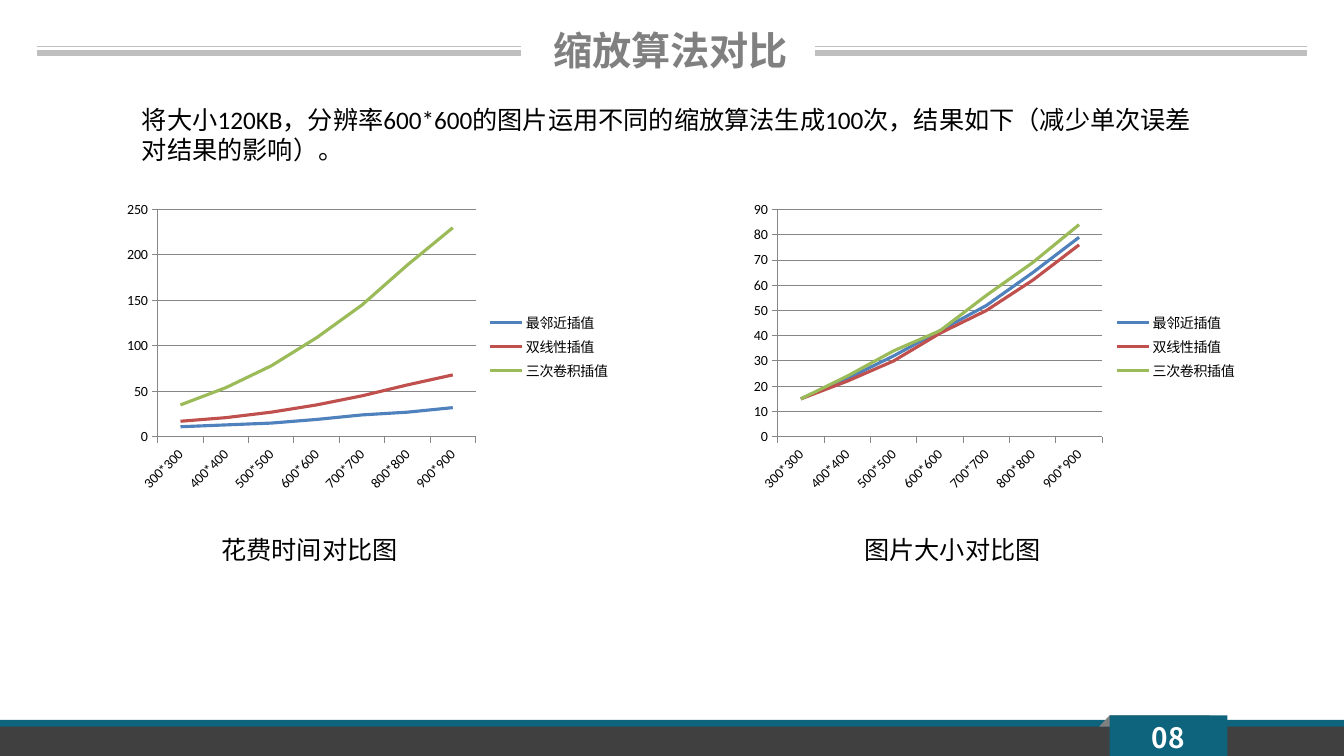
from dataclasses import dataclass

from lxml import etree
from pptx import Presentation
from pptx import util as u
from pptx.chart.data import CategoryChartData
from pptx.dml.color import RGBColor
from pptx.enum import chart as ch, shapes, text
from pptx.oxml import ns
from pptx.util import Cm

TEAL = RGBColor(0x0E, 0x64, 0x7C)
CHARCOAL = RGBColor(0x40, 0x40, 0x40)
GREY = RGBColor(0x80, 0x80, 0x80)
RULE_GREY = RGBColor(0xBF, 0xBF, 0xBF)
AXIS_GREY = RGBColor(0x86, 0x86, 0x86)
WHITE = RGBColor(0xFF, 0xFF, 0xFF)
BLACK = RGBColor(0, 0, 0)
BLUE = RGBColor(0x4F, 0x81, 0xBD)
RED = RGBColor(0xC0, 0x50, 0x4D)
GREEN = RGBColor(0x9B, 0xBB, 0x59)

BODY_FONT = "Calibri"
CJK_FONT = "Noto Sans CJK SC"
WIDTH, HEIGHT = 33.88, 19.05

SIZES = [f"{n}*{n}" for n in range(300, 1000, 100)]
ALGORITHMS = [("最邻近插值", BLUE), ("双线性插值", RED), ("三次卷积插值", GREEN)]


@dataclass
class Bar:
    left: float
    top: float
    width: float
    height: float
    color: RGBColor


@dataclass
class Comparison:
    """A line chart with its caption; values hold one row per algorithm."""
    caption: str
    chart_left: float
    caption_left: float
    axis_max: int
    axis_step: int
    values: list[list[int]]


FOOTER_BARS = [
    Bar(0, 18.14, WIDTH, 0.99, TEAL),
    Bar(0, 18.31, WIDTH, 0.81, CHARCOAL),
]
PAGE_TAB = Bar(27.97, 18.03, 2.97, 1.09, TEAL)

COMPARISONS = [
    Comparison("花费时间对比图", 2.95, 5.33, 250, 50, [
        [11, 13, 15, 19, 24, 27, 32],
        [17, 21, 27, 35, 45, 57, 68],
        [35, 54, 78, 109, 145, 189, 230],
    ]),
    Comparison("图片大小对比图", 18.75, 21.54, 90, 10, [
        [15, 23, 32, 42, 52, 65, 79],
        [15, 22, 30, 41, 50, 62, 76],
        [15, 24, 34, 42, 56, 69, 84],
    ]),
]


def paint(sp, color: RGBColor) -> None:
    """Give a shape a flat fill with no line or shadow."""
    sp.shadow.inherit = False
    sp.fill.solid()
    sp.fill.fore_color.rgb = color
    sp.line.fill.background()


def add_bar(s, bar: Bar) -> None:
    sp = s.shapes.add_shape(shapes.MSO_SHAPE.RECTANGLE, Cm(bar.left), Cm(bar.top),
                            Cm(bar.width), Cm(bar.height))
    paint(sp, bar.color)


def add_tab_fold(s) -> None:
    """Draw the grey folded corner behind the page number tab."""
    builder = s.shapes.build_freeform(Cm(27.97), Cm(18.03))
    builder.add_line_segments([(Cm(30.5), Cm(18.03)), (Cm(30.53), Cm(18.34)),
                               (Cm(27.71), Cm(18.31))], close=True)
    paint(builder.convert_to_shape(), GREY)


def add_text(s, content: str, left: float, top: float, width: float, height: float, *,
             size: int = 18, font: str = BODY_FONT, color: RGBColor = BLACK,
             bold: bool = False, align=text.PP_ALIGN.LEFT,
             anchor=text.MSO_ANCHOR.TOP) -> None:
    tf = s.shapes.add_textbox(Cm(left), Cm(top), Cm(width), Cm(height)).text_frame
    tf.word_wrap = True
    tf.vertical_anchor = anchor
    p = tf.paragraphs[0]
    p.alignment = align
    r = p.add_run()
    r.text = content
    r.font.size = u.Pt(size)
    r.font.name = font
    r.font.bold = bold
    r.font.color.rgb = color
    ea = etree.SubElement(r._r.get_or_add_rPr(), ns.qn("a:ea"))
    ea.set("typeface", CJK_FONT)


def add_rule(s, left: float, right: float, y: float, weight: float) -> None:
    line = s.shapes.add_connector(shapes.MSO_CONNECTOR.STRAIGHT,
                                  Cm(left), Cm(y), Cm(right), Cm(y))
    line.line.color.rgb = RULE_GREY
    line.line.width = u.Pt(weight)
    etree.SubElement(line._element.spPr, ns.qn("a:effectLst"))


def style_line(line, color: RGBColor, weight: float) -> None:
    line.color.rgb = color
    line.width = u.Pt(weight)


def add_comparison(s, item: Comparison) -> None:
    data = CategoryChartData()
    data.categories = SIZES
    for (name, _), values in zip(ALGORITHMS, item.values):
        data.add_series(name, values)
    chart = s.shapes.add_chart(ch.XL_CHART_TYPE.LINE, Cm(item.chart_left), Cm(4.93),
                               Cm(12.7), Cm(7.62), data).chart
    chart.has_title = False
    chart.font.size = u.Pt(10)
    chart.font.name = BODY_FONT
    chart.font.color.rgb = BLACK
    chart.has_legend = True
    chart.legend.position = ch.XL_LEGEND_POSITION.RIGHT
    chart.legend.include_in_layout = False

    values_axis = chart.value_axis
    values_axis.minimum_scale = 0
    values_axis.maximum_scale = item.axis_max
    values_axis.major_unit = item.axis_step
    values_axis.has_major_gridlines = True
    style_line(values_axis.major_gridlines.format.line, AXIS_GREY, 0.75)
    for axis in (values_axis, chart.category_axis):
        axis.major_tick_mark = ch.XL_TICK_MARK.OUTSIDE
        style_line(axis.format.line, AXIS_GREY, 0.75)

    plot = chart.plots[0]
    plot.vary_by_categories = False
    for series, (_, color) in zip(plot.series, ALGORITHMS):
        series.smooth = False
        series.marker.style = ch.XL_MARKER_STYLE.NONE
        style_line(series.format.line, color, 2.25)

    add_text(s, item.caption, item.caption_left, 13.34, 5.21, 1.02)


def main() -> None:
    prs = Presentation()
    prs.slide_width, prs.slide_height = Cm(WIDTH), Cm(HEIGHT)
    s = prs.slides.add_slide(prs.slide_layouts[6])

    for bar in FOOTER_BARS:
        add_bar(s, bar)
    add_tab_fold(s)
    add_bar(s, PAGE_TAB)
    add_text(s, "08", 28.35, 18.03, 2.21, 1.09, size=20, font=CJK_FONT, color=WHITE,
             bold=True, align=text.PP_ALIGN.CENTER, anchor=text.MSO_ANCHOR.MIDDLE)

    add_text(s, "缩放算法对比", 13.26, 0.53, 7.29, 1.45, size=28, font=CJK_FONT,
             color=GREY, bold=True, align=text.PP_ALIGN.CENTER)
    for left, right in ((0.94, 13.13), (20.55, 32.94)):
        for y, weight in ((1.17, 0.75), (1.33, 4.5)):
            add_rule(s, left, right, y, weight)

    for item in COMPARISONS:
        add_comparison(s, item)
    add_text(s, "将大小120KB，分辨率600*600的图片运用不同的缩放算法生成100次，"
                "结果如下（减少单次误差对结果的影响）。", 3.33, 2.51, 27.2, 1.8)

    prs.save("out.pptx")


if __name__ == "__main__":
    main()
